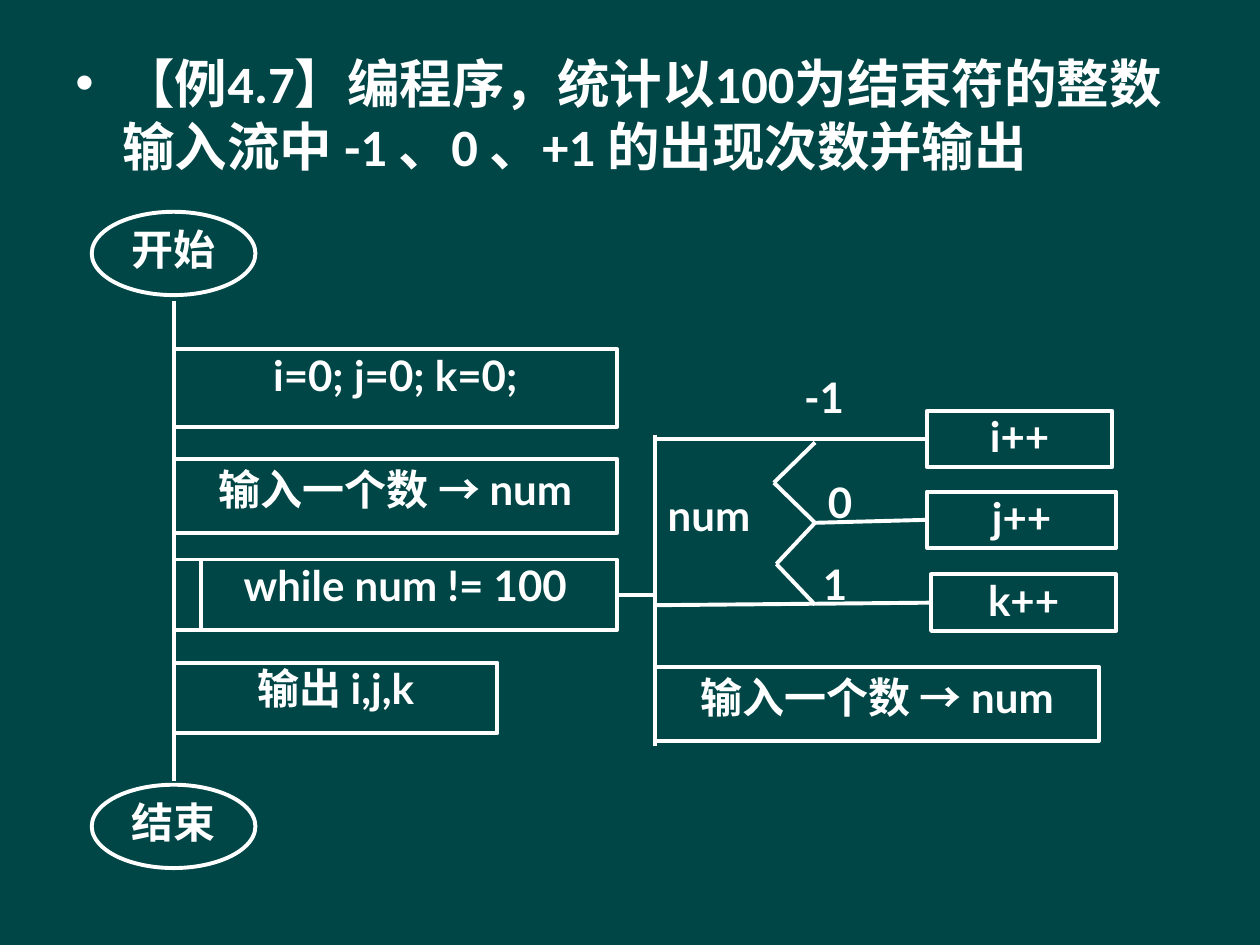
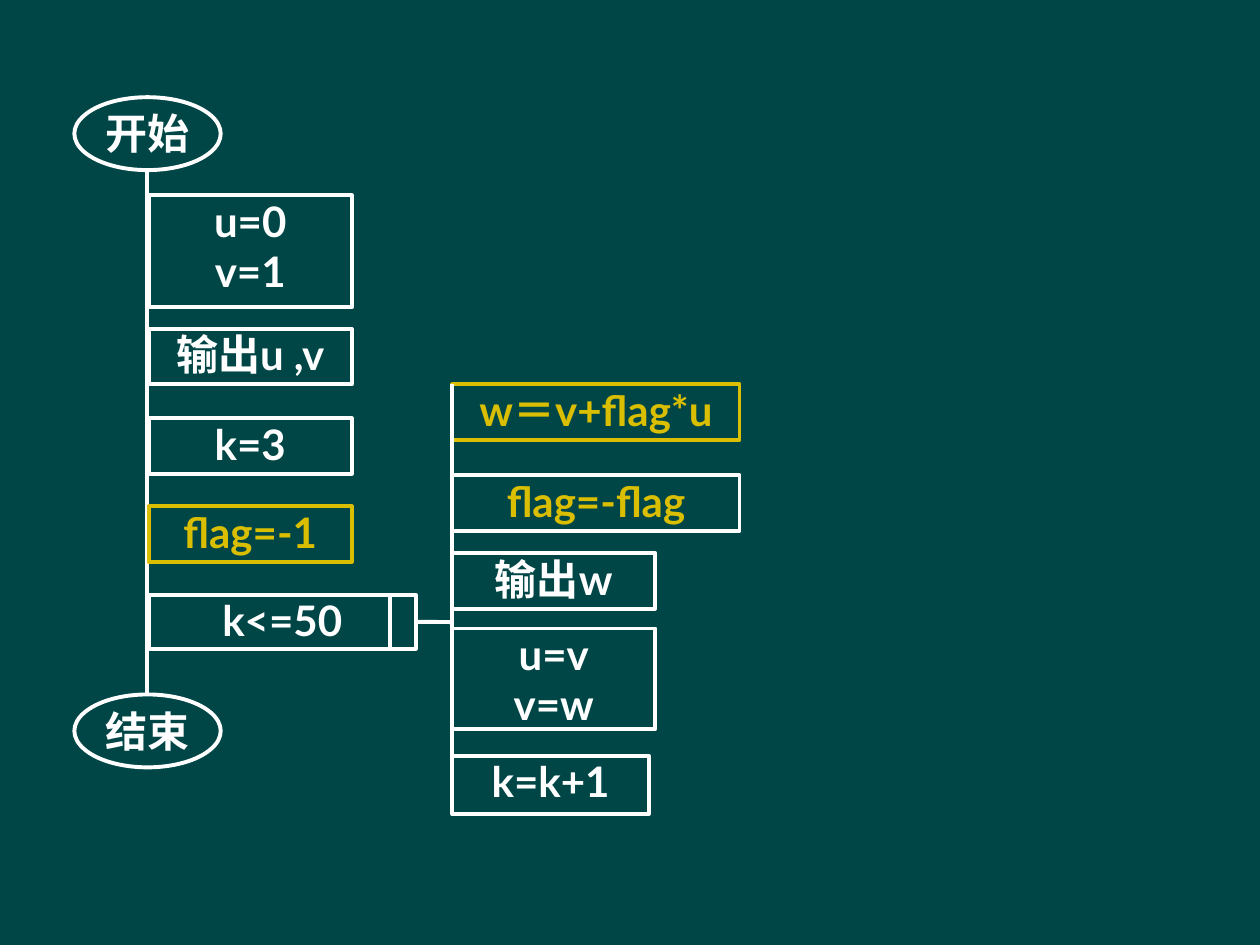
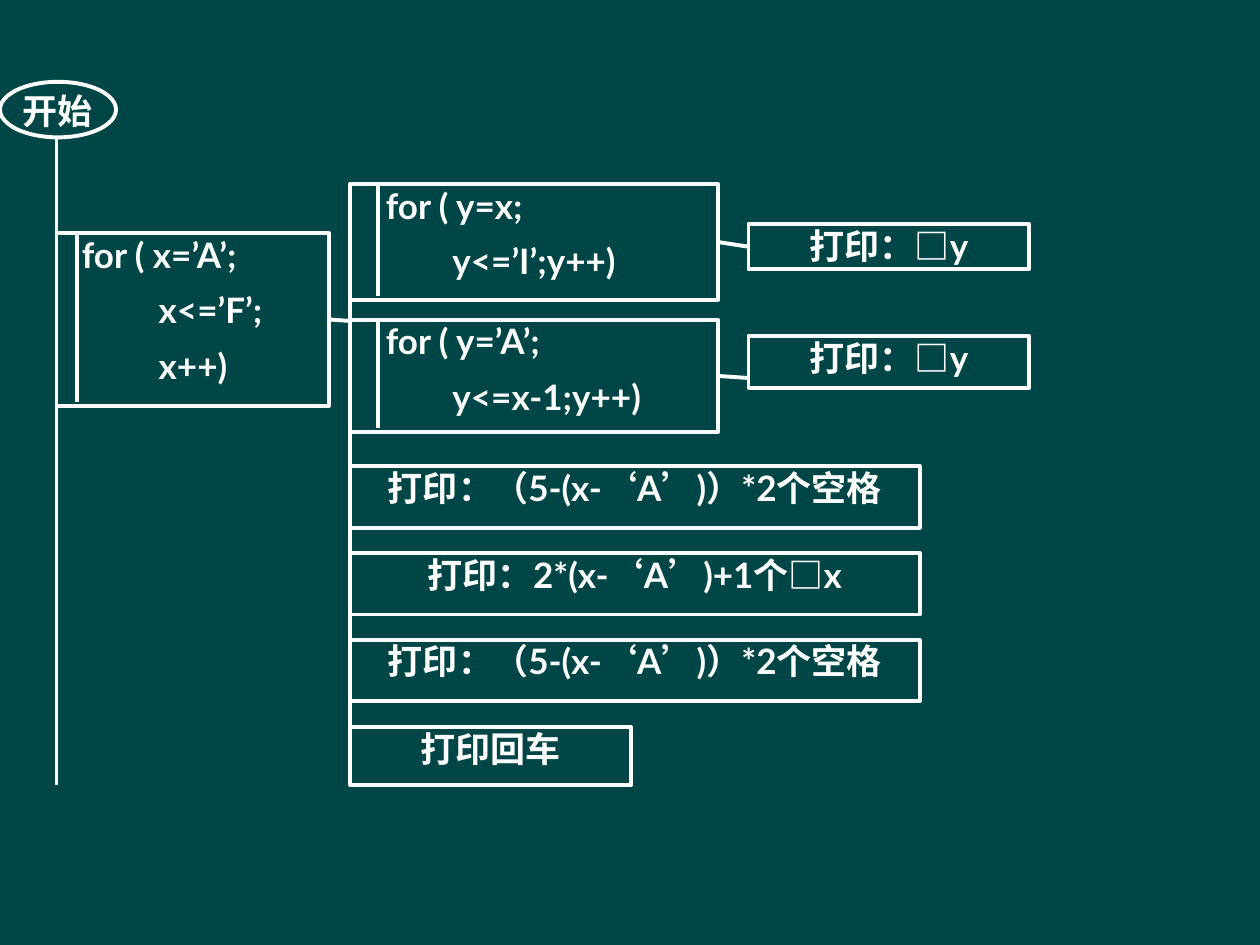
"""Builds three slides of PAD flowcharts for small counting and printing programs."""
from dataclasses import dataclass
from itertools import pairwise

from lxml import etree
from pptx import Presentation
from pptx import util as u
from pptx.dml.color import RGBColor
from pptx.enum import lang, shapes, text
from pptx.oxml.ns import qn


@dataclass(frozen=True)
class Theme:
    back: RGBColor = RGBColor.from_string("004646")
    ink: RGBColor = RGBColor.from_string("FFFFFF")
    accent: RGBColor = RGBColor.from_string("D9BE02")
    title_font: str = "Calibri"
    body_font: str = "Lato"
    title: int = 30
    body: int = 24
    small: int = 20
    rule: float = 2.25


T = Theme()
RECT = shapes.MSO_SHAPE.RECTANGLE
OVAL = shapes.MSO_SHAPE.OVAL
LEFT, CENTER = text.PP_ALIGN.LEFT, text.PP_ALIGN.CENTER
TOP, WEST, EAST = 0, 1, 3


def box(s, kind, at, words, size=T.body, color=T.ink, edge=T.ink, align=CENTER,
        indents=(), inset=(0, 0), before=0, font=T.body_font):
    at = [u.Cm(v) for v in at]
    if kind is None:
        sp = s.shapes.add_textbox(*at)
    else:
        sp = s.shapes.add_shape(kind, *at)
        sp.shadow.inherit = False
        sp.fill.background()
        sp.line.color.rgb = edge
        sp.line.width = u.Pt(T.rule)
    tf = sp.text_frame
    side, top = (u.Cm(v) for v in inset)
    frame = {"word_wrap": True, "vertical_anchor": text.MSO_ANCHOR.TOP, "margin_left": side,
             "margin_right": side, "margin_top": top, "margin_bottom": 0}
    for name, value in frame.items():
        setattr(tf, name, value)
    style = {"name": font, "size": u.Pt(size), "bold": True,
             "language_id": lang.MSO_LANGUAGE_ID.SIMPLIFIED_CHINESE}
    for i, line in enumerate(words.split("\n")):
        p = tf.paragraphs[0] if i == 0 else tf.add_paragraph()
        p.alignment = align
        if i and before:
            p.space_before = u.Pt(before)
        if indents:
            p._p.get_or_add_pPr().set("marL", str(u.Cm(indents[i])))
        r = p.add_run()
        r.text = line
        r.font.color.rgb = color
        for name, value in style.items():
            setattr(r.font, name, value)
    return sp


def link(s, x1, y1, x2, y2, start=None, end=None):
    ends = [u.Cm(v) for v in (x1, y1, x2, y2)]
    c = s.shapes.add_connector(shapes.MSO_CONNECTOR.STRAIGHT, *ends)
    c.line.color.rgb = T.ink
    c.line.width = u.Pt(T.rule)
    etree.SubElement(c._element.spPr, qn("a:effectLst"))
    if start is not None:
        c.begin_connect(start, EAST)
    if end is not None:
        c.end_connect(end, WEST)


prs = Presentation()
prs.slide_width, prs.slide_height = u.Cm(25.4), u.Cm(19.05)
slides = [prs.slides.add_slide(prs.slide_layouts[6]) for _ in range(3)]
for s in slides:
    s.background.fill.solid()
    s.background.fill.fore_color.rgb = T.back

count, series, letters = slides

sp = box(count, None, (1.27, 0.89, 22.86, 3.38),
         "【例4.7】编程序，统计以100为结束符的整数输入流中 -1 、0 、+1 的出现次数并输出",
         size=T.title, align=LEFT, indents=(0.95,), inset=(0.25, 0.13), font=T.title_font)
pPr = sp.text_frame.paragraphs[0]._p.get_or_add_pPr()
pPr.set("indent", str(u.Cm(-0.95)))
clr = etree.SubElement(pPr, qn("a:buClr"))
etree.SubElement(clr, qn("a:srgbClr")).set("val", str(T.ink))
etree.SubElement(pPr, qn("a:buFont")).set("typeface", "Arial")
etree.SubElement(pPr, qn("a:buChar")).set("char", "•")

main_x, branch_x = 3.5, 13.21
link(count, main_x, 6.07, main_x, 15.75)
for y, words in ((4.27, "开始"), (15.82, "结束")):
    box(count, OVAL, (1.85, y, 3.3, 1.68), words)
box(count, RECT, (main_x, 7.04, 8.94, 1.57), "i=0; j=0; k=0;")
for x, y in ((main_x, 9.25), (branch_x, 13.44)):
    box(count, RECT, (x, y, 8.94, 1.5), "输入一个数 → num", inset=(0, 0.1))
loop = box(count, RECT, (main_x, 11.28, 8.94, 1.42), "while num != 100", indents=(0.4,))
box(count, RECT, (main_x, 13.36, 6.53, 1.42), "输出 i,j,k")
link(count, 4.06, 11.28, 4.06, 12.7)
link(count, 12.44, 11.99, branch_x, 11.99, start=loop)
link(count, branch_x, 8.76, branch_x, 15.04)

cases = (
    ("i++", 18.69, 8.28, 3.73, branch_x, 8.85),
    ("j++", 18.69, 9.91, 3.81, 16.43, 10.54),
    ("k++", 18.77, 11.58, 3.73, branch_x, 12.2),
)
for words, x, y, w, from_x, from_y in cases:
    step = box(count, RECT, (x, y, w, 1.14), words)
    link(count, from_x, from_y, x, y + 0.57, end=step)
zigzag = ((16.43, 8.92), (15.6, 9.73), (16.43, 10.54), (15.65, 11.37), (16.43, 12.19))
for a, b in pairwise(zigzag):
    link(count, *a, *b)
for words, x, y in (("num", 13.46, 9.86), ("-1", 16.21, 7.49), ("0", 16.69, 9.6), ("1", 16.59, 11.25)):
    box(count, None, (x, y, 2.1, 1.07), words, align=LEFT)

main_x, branch_x = 3.0, 9.12
link(series, main_x - 0.03, 3.4, main_x - 0.03, 14.0)
for y, words in ((1.96, "开始"), (14.0, "结束")):
    box(series, OVAL, (1.5, y, 2.95, 1.47), words)
loop = box(series, RECT, (main_x, 11.99, 5.38, 1.09), "k<=50")
link(series, 7.87, 11.99, 7.87, 13.05)
link(series, 8.38, 12.54, branch_x, 12.54, start=loop)
steps = (
    ("u=0\nv=1", main_x, 3.94, 4.09, 2.26, T.ink, T.ink),
    ("输出u ,v", main_x, 6.63, 4.09, 1.12, T.ink, T.ink),
    ("k=3", main_x, 8.43, 4.09, 1.12, T.ink, T.ink),
    ("flag=-1", main_x, 10.21, 4.09, 1.12, T.accent, T.accent),
    ("w＝v+flag*u", branch_x, 7.75, 5.79, 1.12, T.accent, T.accent),
    ("flag=-flag", branch_x, 9.58, 5.79, 1.12, T.accent, T.ink),
    ("输出w", branch_x, 11.15, 4.09, 1.12, T.ink, T.ink),
    ("u=v\nv=w", branch_x, 12.67, 4.09, 2.03, T.ink, T.ink),
    ("k=k+1", branch_x, 15.24, 3.96, 1.17, T.ink, T.ink),
)
for words, x, y, w, h, color, edge in steps:
    box(series, RECT, (x, y, w, h), words, color=color, edge=edge)
link(series, branch_x, 7.75, branch_x, 15.65)

main_x, branch_x = 1.14, 7.06
link(letters, main_x, 2.77, main_x, 15.82)
link(letters, branch_x, 4.11, branch_x, 15.82)
box(letters, OVAL, (0, 1.65, 2.34, 1.12), "开始", size=T.small)
loops = (
    ("for ( x=’A’;\nx<=’F’;\nx++)", main_x, 4.7, 5.49, 3.48, 0.41, (0.51, 2.06, 2.06)),
    ("for ( y=x;\ny<=’I’;y++)", branch_x, 3.71, 7.42, 2.34, 0.56, (0.72, 2.06)),
    ("for ( y=’A’;\ny<=x-1;y++)", branch_x, 6.45, 7.42, 2.26, 0.56, (0.72, 2.06)),
)
outer, upper, lower = [], [], []
for made, (words, x, y, w, h, bar, indents) in zip((outer, upper, lower), loops):
    made.append(box(letters, RECT, (x, y, w, h), words, size=T.small, align=LEFT,
                    indents=indents, before=7.7))
    link(letters, x + bar, y, x + bar, y + h - 0.08)
link(letters, 6.63, 6.44, branch_x, 6.47, start=outer[0])
prints = [box(letters, RECT, (15.09, y, 5.66, h), "打印：□y", size=T.small)
          for y, h in ((4.52, 0.91), (6.78, 1.04))]
link(letters, 14.48, 4.9, 15.09, 4.9, start=upper[0], end=prints[0])
link(letters, 14.48, 7.6, 15.09, 7.62, start=lower[0])
blanks = "打印：（5-(x-‘A’)）*2个空格"
for i, words in enumerate((blanks, "打印：2*(x-‘A’)+1个□x", blanks)):
    box(letters, RECT, (branch_x, 9.4 + 1.75 * i, 11.48, 1.24), words, size=T.small)
box(letters, RECT, (branch_x, 14.66, 5.66, 1.17), "打印回车", size=T.small)

prs.save("out.pptx")
